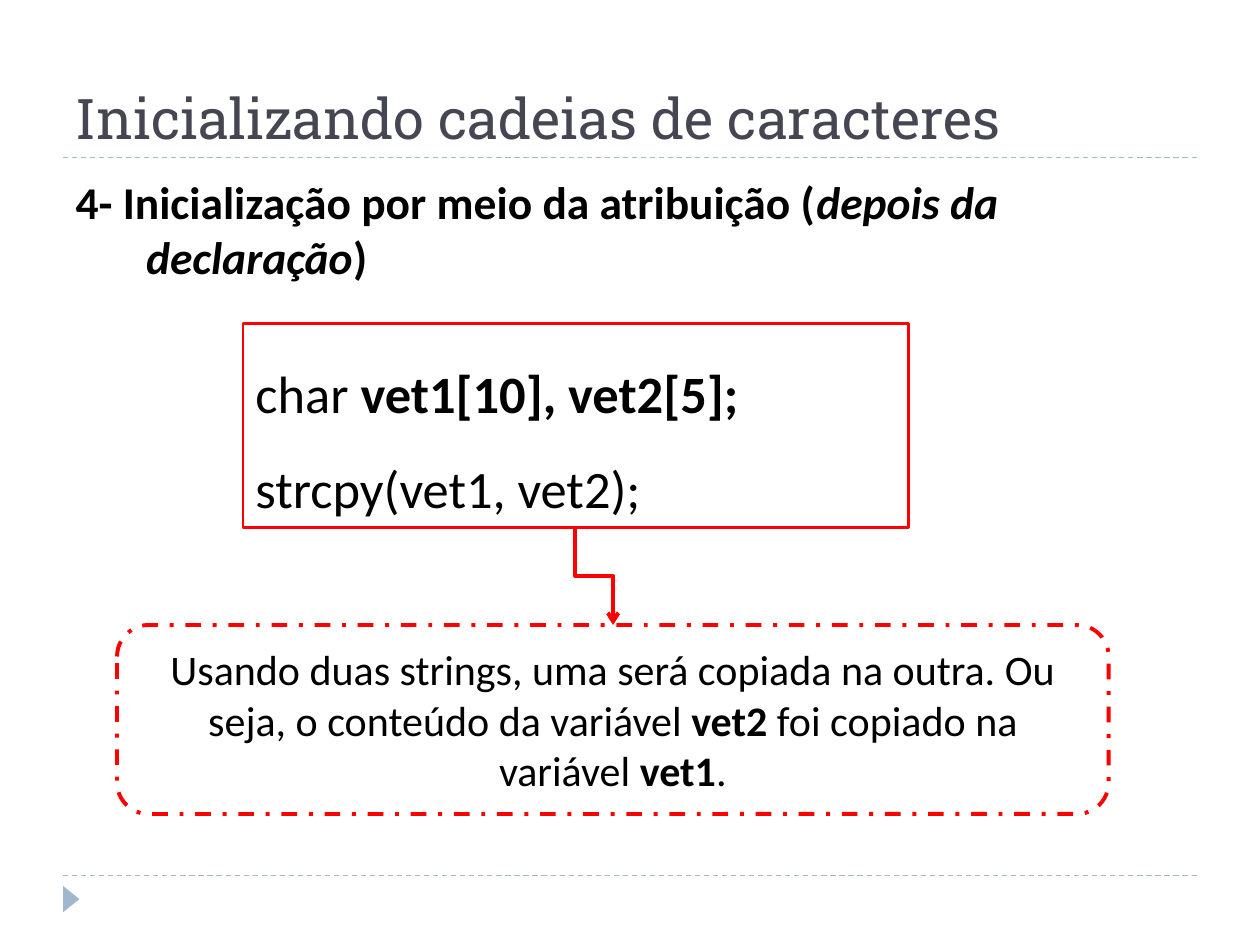
from lxml import etree
from pptx import Presentation
from pptx import util as u
from pptx.dml.color import RGBColor
from pptx.enum import dml, shapes, text
from pptx.oxml.ns import qn

COLORS = {"title": "464653", "text": "000000", "accent": "FF0000", "rule": "9FB8CD"}
MARGIN, CONTENT_WIDTH = 1.27, 22.86


def color(name):
    """Return the named palette colour."""
    return RGBColor.from_string(COLORS[name])


def place(item, left, top, width, height):
    """Set position and size in centimetres."""
    item.left, item.top = u.Cm(left), u.Cm(top)
    item.width, item.height = u.Cm(width), u.Cm(height)


def set_line(line, name, points, dash=None):
    """Format an outline or a connector line."""
    line.color.rgb = color(name)
    line.width = u.Pt(points)
    if dash is not None:
        line.dash_style = dash


def write(frame, paragraphs, size, align, anchor, font="Calibri", ink="text"):
    """Fill a frame; each paragraph is a list of (words, style letters)."""
    frame.word_wrap = True
    frame.vertical_anchor = anchor
    for index, spans in enumerate(paragraphs):
        para = frame.add_paragraph() if index else frame.paragraphs[0]
        para.alignment = align
        para.font.name, para.font.size = font, u.Pt(size)
        para.font.color.rgb = color(ink)
        for words, style in spans:
            span = para.add_run()
            span.text = words
            span.font.bold = "b" in style
            span.font.italic = "i" in style


def hang(para, indent):
    """Give a paragraph a hanging indent without a bullet."""
    properties = para._p.get_or_add_pPr()
    properties.set("marL", str(u.Cm(indent)))
    properties.set("indent", str(-u.Cm(indent)))
    etree.SubElement(properties, qn("a:buNone"))


def add_line(page, kind, start, end, *style):
    """Add a connector without a shadow."""
    ends = [u.Cm(value) for value in (*start, *end)]
    connector = page.shapes.add_connector(kind, *ends)
    set_line(connector.line, *style)
    etree.SubElement(connector._element.spPr, qn("a:effectLst"))
    return connector


def add_elbow_arrow(page, start, end, *style):
    """Add an elbow arrow that leaves and arrives vertically."""
    middle_x, middle_y = (start[0] + end[0]) / 2, (start[1] + end[1]) / 2
    half_run, half_rise = (end[1] - start[1]) / 2, (end[0] - start[0]) / 2
    arrow = add_line(page, shapes.MSO_CONNECTOR.ELBOW,
                     (middle_x + half_run, middle_y - half_rise),
                     (middle_x - half_run, middle_y + half_rise), *style)
    properties = arrow._element.spPr
    properties.find(qn("a:xfrm")).set("rot", str(270 * 60000))
    etree.SubElement(properties.find(qn("a:ln")), qn("a:tailEnd"), type="arrow")


def add_box(page, kind, bounds, *style):
    """Add an unfilled, outlined shape."""
    box = page.shapes.add_shape(kind, *(u.Cm(value) for value in bounds))
    box.shadow.inherit = False
    box.fill.background()
    set_line(box.line, *style)
    return box


def add_decor(page):
    """Add the dashed rules and the corner triangle."""
    for y in (17.65, 3.18):
        add_line(page, shapes.MSO_CONNECTOR.STRAIGHT, (MARGIN, y),
                 (MARGIN + CONTENT_WIDTH, y), "rule", 0.75, dml.MSO_LINE.DASH)
    marker = page.shapes.add_shape(shapes.MSO_SHAPE.ISOSCELES_TRIANGLE,
                                   u.Cm(1.17), u.Cm(17.96), u.Cm(0.53), u.Cm(0.33))
    marker.rotation = 90
    marker.shadow.inherit = False
    marker.fill.solid()
    marker.fill.fore_color.rgb = color("rule")
    marker.line.fill.background()


def main():
    """Build the slide."""
    deck = Presentation()
    deck.slide_width, deck.slide_height = u.Cm(25.4), u.Cm(19.05)
    page = deck.slides.add_slide(deck.slide_layouts[1])
    left, center = text.PP_ALIGN.LEFT, text.PP_ALIGN.CENTER
    top, middle = text.MSO_ANCHOR.TOP, text.MSO_ANCHOR.MIDDLE
    add_decor(page)

    title, body = page.placeholders
    place(title, MARGIN, 0.43, CONTENT_WIDTH, 2.74)
    write(title.text_frame, [[("Inicializando cadeias de caracteres", "")]],
          32, left, text.MSO_ANCHOR.BOTTOM, "Roboto Slab", "title")
    place(body, MARGIN, 3.38, CONTENT_WIDTH, 13.72)
    write(body.text_frame, [[("4- Inicialização por meio da atribuição (", "b"),
                             ("depois da declaração", "bi"), (")", "b")]],
          26, left, top)
    heading = body.text_frame.paragraphs[0]
    heading.space_before = u.Pt(6)
    hang(heading, 1.42)

    code = add_box(page, shapes.MSO_SHAPE.RECTANGLE, (4.9, 6.52, 13.41, 4.11),
                   "accent", 1.5)
    write(code.text_frame, [[("char ", ""), ("vet1[10], vet2[5];", "b")],
                            [("strcpy(vet1, vet2);", "")]], 30, left, top)
    code.text_frame.auto_size = text.MSO_AUTO_SIZE.SHAPE_TO_FIT_TEXT
    for para in code.text_frame.paragraphs:
        para.line_spacing = 1.5

    note = add_box(page, shapes.MSO_SHAPE.ROUNDED_RECTANGLE, (2.36, 12.6, 19.99, 3.81),
                   "accent", 2.25, dml.MSO_LINE.DASH_DOT)
    write(note.text_frame, [[
        ("Usando duas strings, uma será copiada na outra. "
         "Ou seja, o conteúdo da variável ", ""),
        ("vet2", "b"), (" foi copiado na variável ", ""), ("vet1", "b"), (".", "")]],
        24, center, middle)
    add_elbow_arrow(page, (11.6, 10.63), (12.36, 12.6), "accent", 2.25)
    deck.save("out.pptx")


main()
